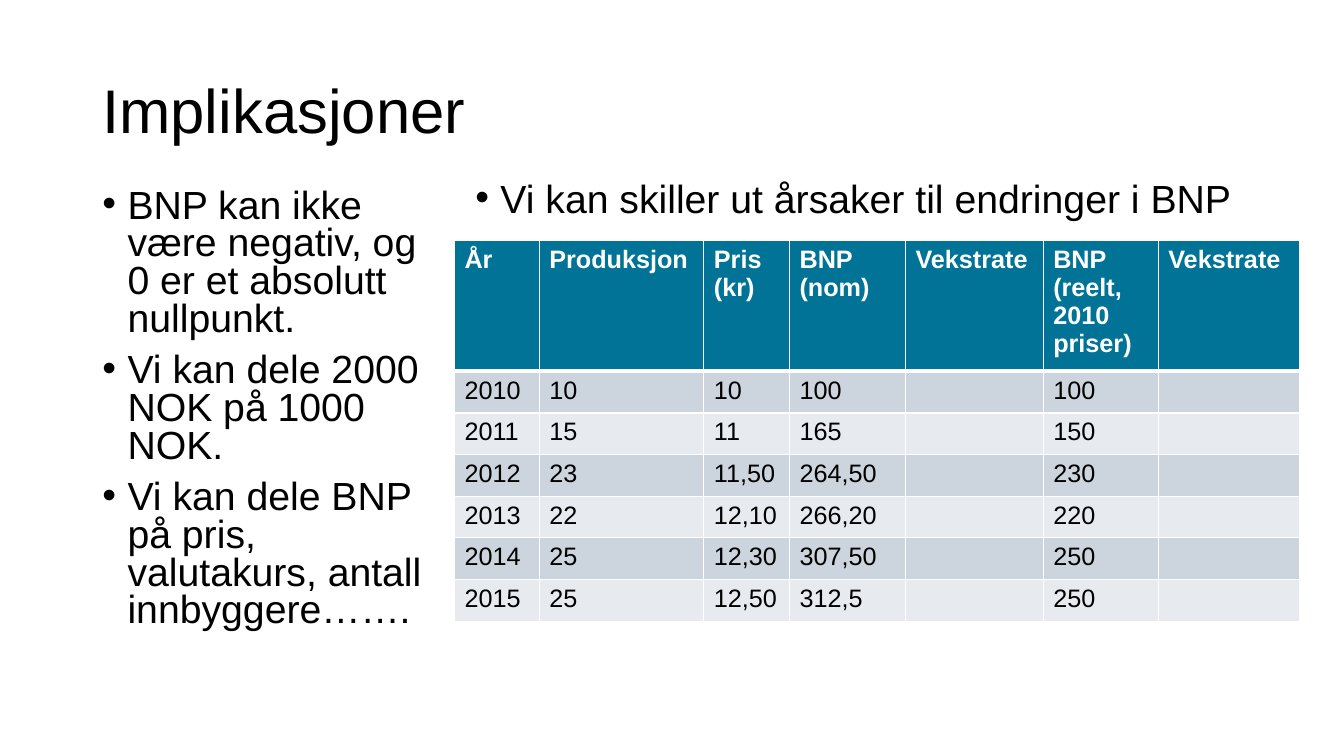
from dataclasses import dataclass

from lxml.etree import SubElement
from pptx import Presentation
from pptx.dml.color import RGBColor
from pptx.enum.text import MSO_ANCHOR
from pptx.oxml.ns import qn
from pptx.util import Emu, Inches, Pt

# Grid of 160 columns by 90 rows
SLIDE_W, SLIDE_H = Inches(13.33), Inches(7.5)
COLS, ROWS = 160, 90

BLACK, WHITE = "000000", "FFFFFF"
TEAL, BANDS = "007396", ("CCD5DD", "E7EBEF")


@dataclass
class TextBlock:
    col: float
    row: float
    width: float
    height: float
    lines: list[str]
    size: int = 28
    spacing: float = 0.8
    bullets: bool = True
    anchor: MSO_ANCHOR = MSO_ANCHOR.TOP


BLOCKS = [
    TextBlock(11, 4.8, 138, 17.4, ["Implikasjoner"], size=44, spacing=0.9,
              bullets=False, anchor=MSO_ANCHOR.MIDDLE),
    TextBlock(11, 21.9, 43.1, 58.9, [
        "BNP kan ikke være negativ, og 0 er et absolutt nullpunkt.",
        "Vi kan dele 2000 NOK på 1000 NOK.",
        "Vi kan dele BNP på pris, valutakurs, antall innbyggere…….",
    ]),
    TextBlock(55.4, 21.2, 93.6, 59.9,
              ["Vi kan skiller ut årsaker til endringer i BNP"]),
]

COLUMN_WIDTHS = [10.1, 19.6, 10.2, 13.8, 16.4, 13.7, 16.8]
HEADER_HEIGHT, ROW_HEIGHT = 14.5, 4.96
GDP_ROWS = [
    ["År", "Produksjon", "Pris (kr)", "BNP (nom)", "Vekstrate",
     "BNP (reelt, 2010 priser)", "Vekstrate"],
    ["2010", "10", "10", "100", "", "100", ""],
    ["2011", "15", "11", "165", "", "150", ""],
    ["2012", "23", "11,50", "264,50", "", "230", ""],
    ["2013", "22", "12,10", "266,20", "", "220", ""],
    ["2014", "25", "12,30", "307,50", "", "250", ""],
    ["2015", "25", "12,50", "312,5", "", "250", ""],
]


def x(cols: float) -> Emu:
    return Emu(round(SLIDE_W * cols / COLS))


def y(rows: float) -> Emu:
    return Emu(round(SLIDE_H * rows / ROWS))


def rgb(color: str) -> RGBColor:
    return RGBColor.from_string(color)


def write(p, text: str, *, size: int, color: str = BLACK, bold: bool = False) -> None:
    r = p.add_run()
    r.text = text
    r.font.name, r.font.size, r.font.bold = "Arial", Pt(size), bold
    r.font.color.rgb = rgb(color)


def add_bullet(p) -> None:
    pPr = p._p.get_or_add_pPr()
    pPr.set("marL", str(Inches(0.25)))
    pPr.set("indent", str(-Inches(0.25)))
    SubElement(pPr, qn("a:buFont"), typeface="Arial")
    SubElement(pPr, qn("a:buChar"), char="•")


def draw_text(s, block: TextBlock) -> None:
    tf = s.shapes.add_textbox(x(block.col), y(block.row),
                              x(block.width), y(block.height)).text_frame
    tf.word_wrap, tf.vertical_anchor = True, block.anchor
    for i, line in enumerate(block.lines):
        p = tf.add_paragraph() if i else tf.paragraphs[0]
        if block.bullets:
            add_bullet(p)
        p.line_spacing = block.spacing
        p.space_before = Pt(10 if i else 0)
        write(p, line, size=block.size)


def add_border(cell, side: str, width: float) -> None:
    ln = SubElement(cell._tc.get_or_add_tcPr(), qn(f"a:ln{side}"), w=str(Pt(width)))
    SubElement(SubElement(ln, qn("a:solidFill")), qn("a:srgbClr"), val=WHITE)


def draw_table(s, col: float, row: float) -> None:
    heights = [HEADER_HEIGHT] + [ROW_HEIGHT] * (len(GDP_ROWS) - 1)
    table = s.shapes.add_table(len(heights), len(COLUMN_WIDTHS), x(col), y(row),
                               x(sum(COLUMN_WIDTHS)), y(sum(heights))).table
    for column, width in zip(table.columns, COLUMN_WIDTHS):
        column.width = x(width)
    for i, (values, height) in enumerate(zip(GDP_ROWS, heights)):
        table.rows[i].height = y(height)
        header = i == 0
        for j, value in enumerate(values):
            cell = table.cell(i, j)
            # The line under the header is thicker than the others
            borders = {"L": 1, "R": 1, "T": 3 if i == 1 else 1, "B": 3 if header else 1}
            for side, width in borders.items():
                add_border(cell, side, width)
            cell.fill.solid()
            cell.fill.fore_color.rgb = rgb(TEAL if header else BANDS[(i - 1) % 2])
            if value:
                write(cell.text_frame.paragraphs[0], value, size=18,
                      color=WHITE if header else BLACK, bold=header)


def main() -> None:
    prs = Presentation()
    prs.slide_width, prs.slide_height = SLIDE_W, SLIDE_H
    s = prs.slides.add_slide(prs.slide_layouts[6])
    # Title and bullet lists
    for block in BLOCKS:
        draw_text(s, block)
    # GDP table
    draw_table(s, 54.1, 28.6)
    prs.save("out.pptx")


if __name__ == "__main__":
    main()
